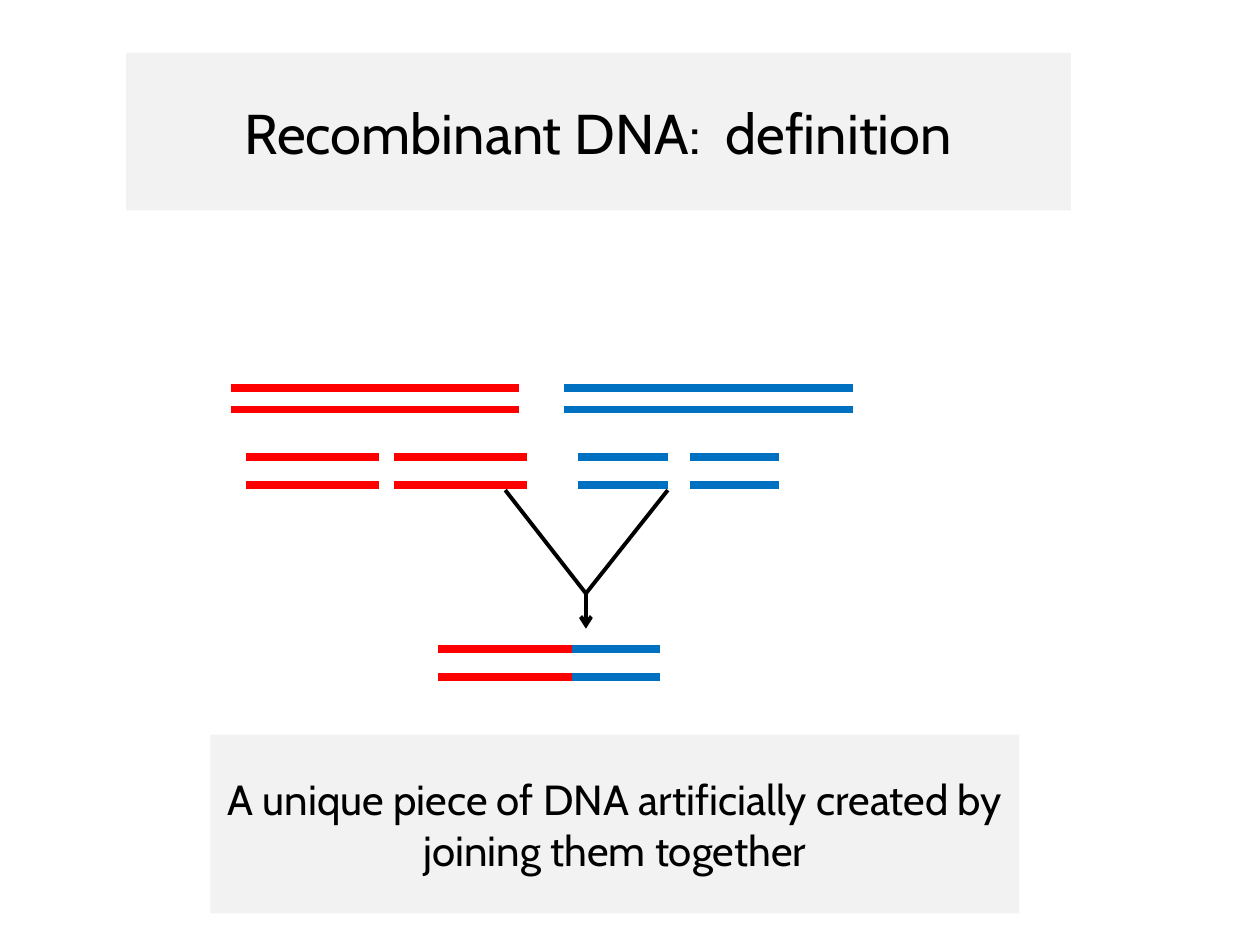
from typing import NamedTuple

from lxml.etree import SubElement
from pptx import Presentation
from pptx.dml.color import RGBColor
from pptx.enum.shapes import MSO_CONNECTOR as Connector, MSO_SHAPE as Preset
from pptx.enum.text import MSO_ANCHOR as Anchor, PP_ALIGN as Align
from pptx.oxml.ns import qn
from pptx.util import Inches, Pt

WIDTH, HEIGHT = Inches(10), Inches(7.5)
COLUMN, ROW = WIDTH / 10, HEIGHT / 7.5
RED, BLUE, BLACK, PANEL = "FF0000", "0070C0", "000000", "F2F2F2"


class Point(NamedTuple):
    """A place in grid columns and rows."""
    column: float
    row: float


class Panel(NamedTuple):
    """A grey text panel on the grid."""
    left: float
    top: float
    columns: float
    rows: float
    text: str
    size: int


class Strands(NamedTuple):
    """A double-stranded piece of DNA."""
    start: float
    end: float
    rows: tuple[float, float]
    color: str


WHOLE, CUT, JOINED = (3.08, 3.25), (3.63, 3.85), (5.15, 5.37)
SOURCE_DNA = (
    Strands(1.83, 4.12, WHOLE, RED),
    Strands(4.48, 6.77, WHOLE, BLUE),
    Strands(1.95, 3.01, CUT, RED),
    Strands(3.13, 4.18, CUT, RED),
    Strands(4.59, 5.3, CUT, BLUE),
    Strands(5.48, 6.18, CUT, BLUE),
)
RECOMBINANT_DNA = (
    Strands(3.48, 4.54, JOINED, RED),
    Strands(4.54, 5.24, JOINED, BLUE),
)
TITLE = Panel(1, 0.42, 7.5, 1.25, "Recombinant DNA:  definition", 32)
DEFINITION = Panel(
    1.67, 5.83, 6.42, 1.42,
    "A unique piece of DNA artificially created by joining them together", 24)


def rgb(color: str) -> RGBColor:
    """Turn a hex string into a colour."""
    return RGBColor.from_string(color)


def format_panel(box, panel: Panel) -> None:
    """Place a shape as a grey panel and write its centred text."""
    box.left, box.width = int(panel.left * COLUMN), int(panel.columns * COLUMN)
    box.top, box.height = int(panel.top * ROW), int(panel.rows * ROW)
    box.fill.solid()
    box.fill.fore_color.rgb = rgb(PANEL)
    box.line.fill.background()
    frame = box.text_frame
    frame.word_wrap = True
    frame.vertical_anchor = Anchor.MIDDLE
    para = frame.paragraphs[0]
    para.alignment = Align.CENTER
    span = para.add_run()
    span.text = panel.text
    span.font.name = "Cabin"
    span.font.size = Pt(panel.size)
    span.font.color.rgb = rgb(BLACK)


def draw_line(group, start: Point, end: Point, color: str, weight: float,
              arrow: bool = False) -> None:
    """Draw a straight line, with an arrowhead at its end if wanted."""
    line = group.shapes.add_connector(
        Connector.STRAIGHT,
        int(start.column * COLUMN), int(start.row * ROW),
        int(end.column * COLUMN), int(end.row * ROW))
    line.line.color.rgb = rgb(color)
    line.line.width = Pt(weight)
    if arrow:
        SubElement(line.line._get_or_add_ln(), qn("a:tailEnd"), type="arrow")
    SubElement(line._element.spPr, qn("a:effectLst"))


def draw_strands(group, piece: Strands) -> None:
    """Draw both strands of a piece of DNA."""
    for row in piece.rows:
        draw_line(group, Point(piece.start, row), Point(piece.end, row),
                  piece.color, 4.5)


def draw_joining(group) -> None:
    """Draw the two lines that meet and the arrow to the joined piece."""
    meeting = Point(4.65, 4.71)
    for column in (4.01, 5.3):
        draw_line(group, Point(column, 3.89), meeting, BLACK, 2.25)
    draw_line(group, meeting, Point(meeting.column, 4.99), BLACK, 2.25, True)


def main() -> None:
    """Build and save the slide."""
    deck = Presentation()
    deck.slide_width, deck.slide_height = WIDTH, HEIGHT
    page = deck.slides.add_slide(deck.slide_layouts[5])
    format_panel(page.shapes.title, TITLE)
    diagram = page.shapes.add_group_shape()
    for piece in SOURCE_DNA:
        draw_strands(diagram, piece)
    draw_joining(diagram)
    for piece in RECOMBINANT_DNA:
        draw_strands(diagram, piece)
    box = page.shapes.add_shape(Preset.RECTANGLE, 0, 0, WIDTH, HEIGHT)
    box.shadow.inherit = False
    format_panel(box, DEFINITION)
    deck.save("out.pptx")


if __name__ == "__main__":
    main()
